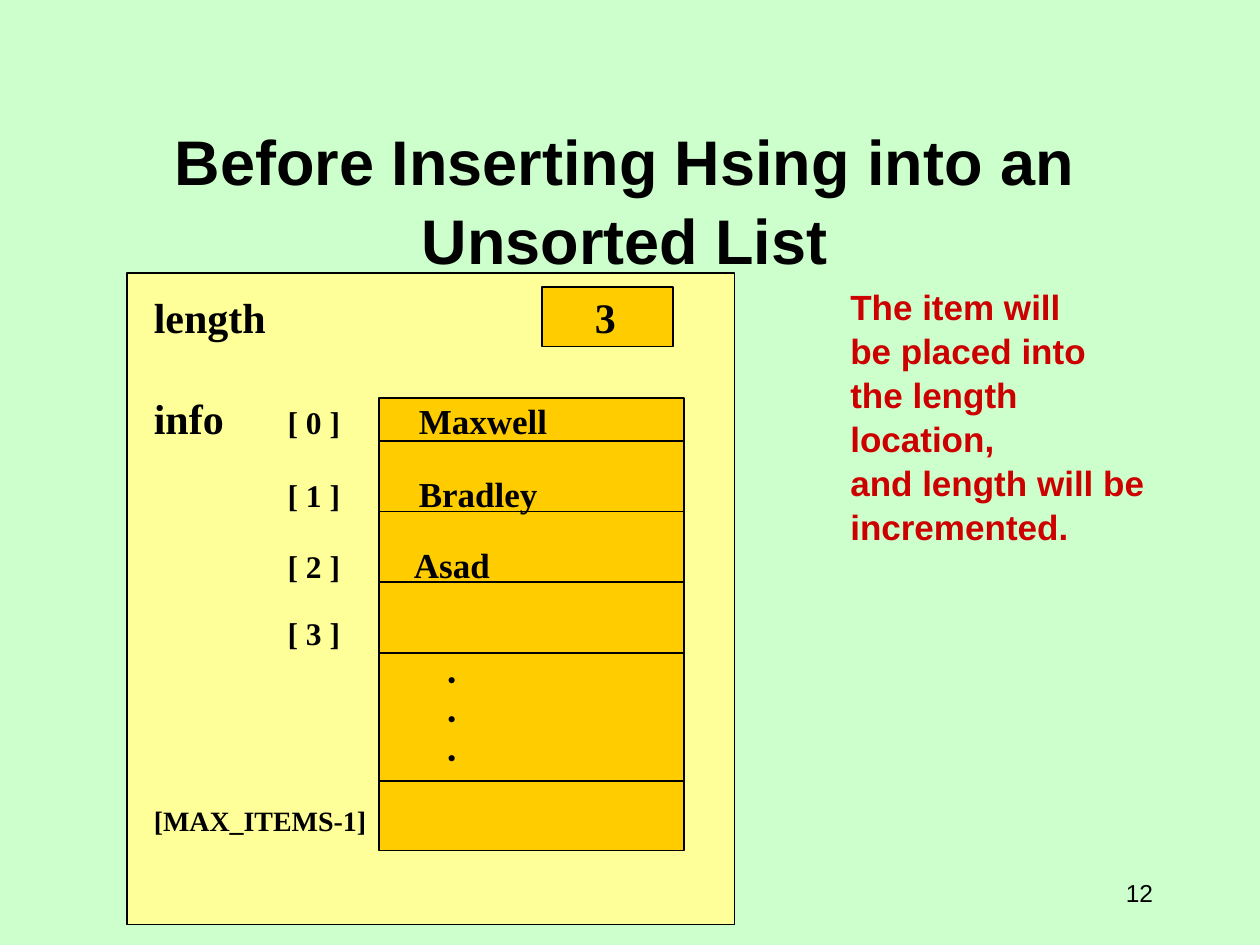
from dataclasses import dataclass

from lxml import etree
from pptx import Presentation
from pptx.dml.color import RGBColor
from pptx.enum.shapes import MSO_CONNECTOR, MSO_SHAPE
from pptx.enum.text import MSO_ANCHOR, MSO_AUTO_SIZE, PP_ALIGN
from pptx.oxml.ns import qn
from pptx.util import Pt

RECTANGLE = MSO_SHAPE.RECTANGLE
STRAIGHT = MSO_CONNECTOR.STRAIGHT
TOP, MIDDLE, BOTTOM = MSO_ANCHOR.TOP, MSO_ANCHOR.MIDDLE, MSO_ANCHOR.BOTTOM
LEFT, CENTER, RIGHT = PP_ALIGN.LEFT, PP_ALIGN.CENTER, PP_ALIGN.RIGHT


@dataclass(frozen=True)
class Theme:
    background: RGBColor = RGBColor(0xCC, 0xFF, 0xCC)
    panel: RGBColor = RGBColor(0xFF, 0xFF, 0x99)
    cell: RGBColor = RGBColor(0xFF, 0xCC, 0x00)
    ink: RGBColor = RGBColor(0, 0, 0)
    accent: RGBColor = RGBColor(0xCC, 0, 0)
    heading_font: str = "Arial"
    label_font: str = "Times New Roman"
    dot_font: str = "Montserrat"
    title_size: int = 36
    field_size: int = 24
    name_size: int = 20
    index_size: int = 18
    last_index_size: int = 16
    number_size: int = 14


THEME = Theme()


def format_text(frame, size, font, color=THEME.ink, bold=True, align=LEFT, spacing=1.0):
    for paragraph in frame.paragraphs:
        paragraph.alignment = align
        paragraph.line_spacing = spacing
        paragraph.font.size = Pt(size)
        paragraph.font.name = font
        paragraph.font.bold = bold
        paragraph.font.color.rgb = color


def add_title(slide, text):
    title = slide.shapes.title
    title.left, title.top, title.width, title.height = Pt(6), Pt(96), Pt(702), Pt(66)
    frame = title.text_frame
    frame.text = text
    frame.auto_size = MSO_AUTO_SIZE.NONE
    frame.vertical_anchor = BOTTOM
    format_text(frame, THEME.title_size, THEME.heading_font, align=CENTER, spacing=1.05)


def add_box(slide, left, top, width, height, fill):
    box = slide.shapes.add_shape(RECTANGLE, Pt(left), Pt(top), Pt(width), Pt(height))
    box.shadow.inherit = False
    box.fill.solid()
    box.fill.fore_color.rgb = fill
    box.line.color.rgb = THEME.ink
    box.line.width = Pt(1)


def add_divider(slide, left, right, y):
    line = slide.shapes.add_connector(STRAIGHT, Pt(left), Pt(y), Pt(right), Pt(y))
    line.line.color.rgb = THEME.ink
    line.line.width = Pt(1)
    etree.SubElement(line._element.spPr, qn("a:effectLst"))


def add_text(slide, text, left, top, width, height, anchor=TOP, **style):
    box = slide.shapes.add_textbox(Pt(left), Pt(top), Pt(width), Pt(height))
    frame = box.text_frame
    frame.word_wrap = True
    frame.vertical_anchor = anchor
    frame.text = text
    format_text(frame, **style)


def add_label(slide, text, left, baseline, size, width=110, font=THEME.label_font):
    """One line of text, its box centred on the line and inset by 7.2 pt."""
    height = size * 1.5
    top = baseline - size * 0.34 - height / 2
    add_text(slide, text, left - 7.2, top, width, height, MIDDLE, size=size, font=font)


def main():
    presentation = Presentation()
    presentation.slide_width, presentation.slide_height = Pt(720), Pt(540)
    slide = presentation.slides.add_slide(presentation.slide_layouts[5])
    slide.background.fill.solid()
    slide.background.fill.fore_color.rgb = THEME.background

    add_title(slide, "Before Inserting Hsing into an\vUnsorted List")

    # List object with its length field and info array
    add_box(slide, 72.7, 156.2, 347, 372.2, THEME.panel)
    add_box(slide, 309.6, 164.2, 74.9, 33.8, THEME.cell)
    add_box(slide, 216.7, 227.5, 174.2, 258.5, THEME.cell)
    for y in (252, 292.3, 332.6, 373, 446.4):
        add_divider(slide, 216, 391, y)

    # Field names and length value
    for text, left, baseline in (("length", 88, 189), ("info", 88, 247), ("3", 340, 189)):
        add_label(slide, text, left, baseline, THEME.field_size)

    # Array indexes and items
    rows = (("Maxwell", 239.4, 247), ("Bradley", 239.4, 288.7),
            ("Asad", 236.6, 329.4), (None, 0, 368))
    for index, (name, left, baseline) in enumerate(rows):
        add_label(slide, f"[ {index} ]", 164.5, baseline, THEME.index_size, width=60)
        if name:
            add_label(slide, name, left, baseline, THEME.name_size)
    for step in range(3):
        add_label(slide, ".", 256, 389.5 + step * 22.4, THEME.index_size,
                  width=30, font=THEME.dot_font)
    add_label(slide, "[MAX_ITEMS-1]", 88, 474.3, THEME.last_index_size, width=140)

    # Explanation and slide number
    add_text(slide, "The item will\nbe placed into\nthe length location,\n"
             "and length will be\nincremented.", 478.8, 158.4, 195, 152,
             size=THEME.name_size, font=THEME.heading_font, color=THEME.accent, spacing=1.05)
    add_text(slide, "12", 617.8, 492, 48.2, 36, MIDDLE, size=THEME.number_size,
             font=THEME.heading_font, bold=False, align=RIGHT)

    presentation.save("out.pptx")


main()
